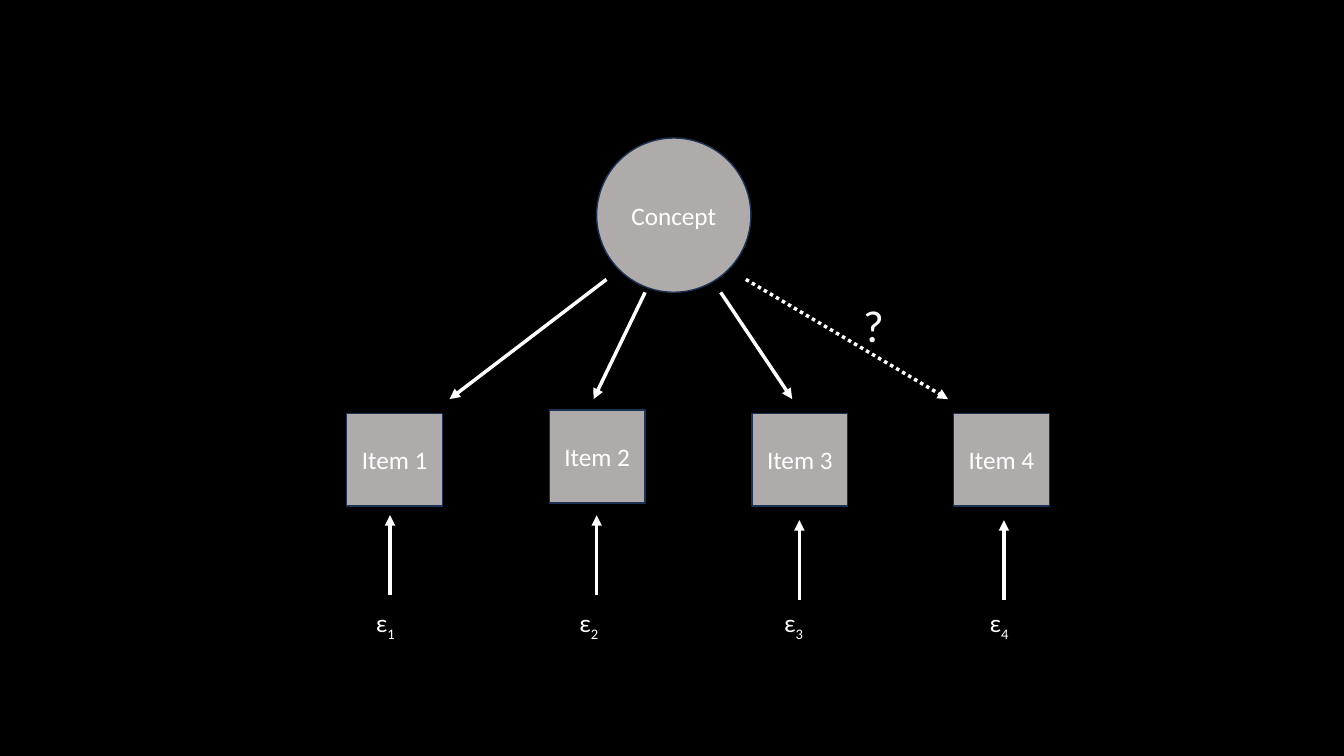
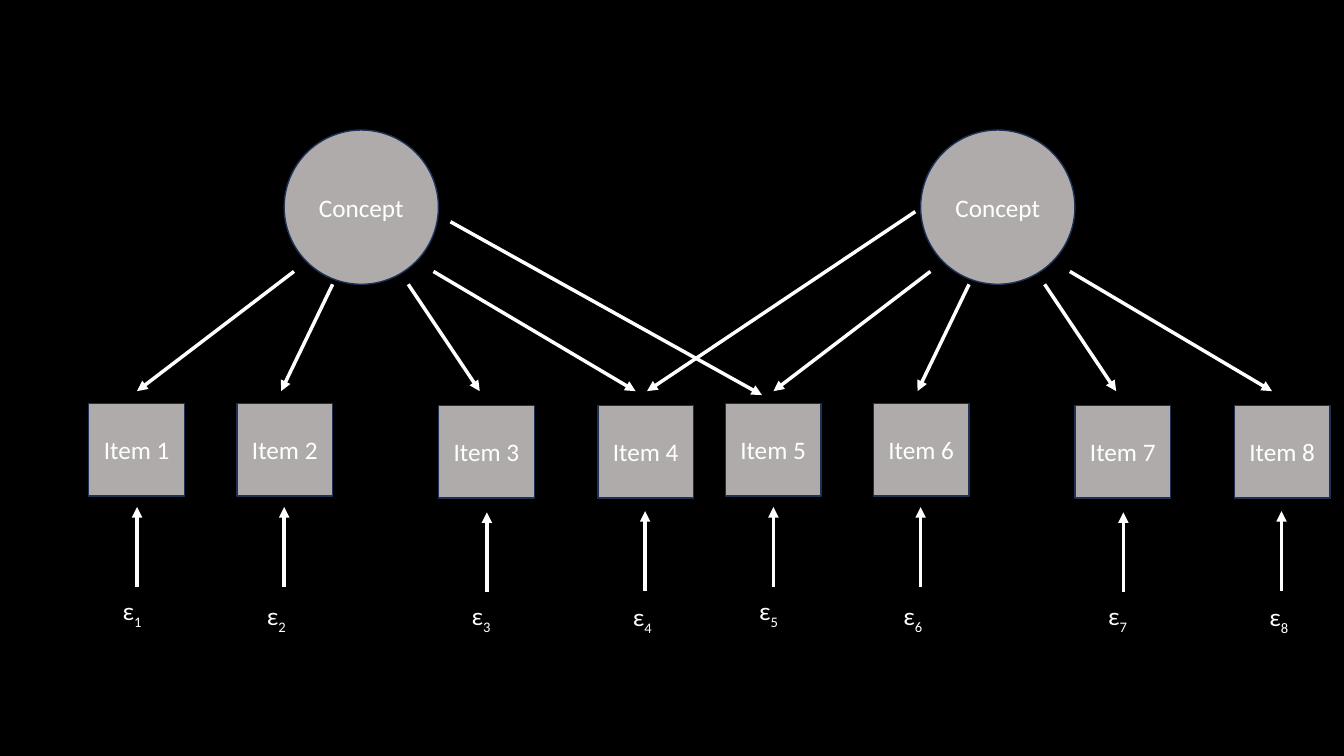
from lxml import etree
from pptx import Presentation
from pptx.dml.color import RGBColor
from pptx.enum.dml import MSO_LINE
from pptx.enum.shapes import MSO_CONNECTOR, MSO_SHAPE
from pptx.enum.text import MSO_ANCHOR, MSO_AUTO_SIZE, PP_ALIGN
from pptx.oxml.ns import qn
from pptx.util import Pt

STRAIGHT = MSO_CONNECTOR.STRAIGHT
ELLIPSE, RECTANGLE = MSO_SHAPE.OVAL, MSO_SHAPE.RECTANGLE
DOTTED = MSO_LINE.ROUND_DOT
LEFT, CENTER = PP_ALIGN.LEFT, PP_ALIGN.CENTER

COLORS = {"background": "000000", "node": "AFABAB", "outline": "1E3256", "ink": "FFFFFF"}
FONT = "Calibri"
TEXT_SIZE, QUESTION_SIZE = 18, 32

CONCEPT_SIZE = 110.2
ITEM_WIDTH, ITEM_HEIGHT = 68.4, 66.2
ERROR_ARROW_LENGTH = 56.8
ERROR_LABEL_SIZE = (35.3, 28.8)

# Loading arrows, start and end measured from the concept's top left corner
LOADINGS = [
    ((7, 101), (-105.1, 186.5)),
    ((34.6, 110.2), (-2.2, 186.5)),
    ((88.6, 110.2), (139.7, 186.5)),
    ((106.6, 101), (251, 186.5)),
]

# Per item: left, top, error arrow x and bottom, error label left and top
ONE_FACTOR = {
    "concepts": [(426.2, 98.6)],
    "items": [
        (247.7, 295.2, 278.6, 424.8, 261.4, 430.6),
        (392.4, 293, 426.2, 424.8, 406.8, 430.6),
        (537.1, 295.2, 571, 428.4, 553, 430.6),
        (681.1, 295.2, 717.1, 428.4, 699.8, 430.6),
    ],
    "dotted": {4},
    "cross_loadings": [],
    "question": ("?", 594, 208.8, 59.8, 46),
}
FACTOR_STEP = 454.6
FIRST_FACTOR_ITEMS = [
    (63.4, 288, 97.9, 419, 80.6, 421.9),
    (169.2, 288, 203, 419, 183.6, 425.5),
    (313.2, 289.6, 347.8, 422.8, 329.8, 425.5),
    (427, 289.6, 460.8, 421.9, 445, 426.2),
]
TWO_FACTORS = {
    "concepts": [(203, 92.9), (203 + FACTOR_STEP, 92.9)],
    "items": [
        (left + shift, top, arrow_x + shift, bottom, label_left + shift, label_top)
        for shift in (0, FACTOR_STEP)
        for left, top, arrow_x, bottom, label_left, label_top in FIRST_FACTOR_ITEMS
    ],
    "dotted": set(),
    "cross_loadings": [((321.8, 158.4), (544.3, 282.2)), ((653.8, 151.2), (462.2, 279.4))],
    "question": None,
}


def color(name):
    return RGBColor.from_string(COLORS[name])


def write(paragraph, text, size=TEXT_SIZE, align=CENTER):
    paragraph.alignment = align
    run = paragraph.add_run()
    run.text = text
    for attribute, value in {"size": Pt(size), "name": FONT}.items():
        setattr(run.font, attribute, value)
    run.font.color.rgb = color("ink")
    return run


def add_node(slide, kind, text, left, top, width, height):
    node = slide.shapes.add_shape(kind, Pt(left), Pt(top), Pt(width), Pt(height))
    node.shadow.inherit = False
    node.fill.solid()
    node.fill.fore_color.rgb = color("node")
    node.line.color.rgb = color("outline")
    node.line.width = Pt(1)
    node.text_frame.vertical_anchor = MSO_ANCHOR.MIDDLE
    write(node.text_frame.paragraphs[0], text)


def add_arrow(slide, start, end, dotted=False):
    arrow = slide.shapes.add_connector(STRAIGHT, *map(Pt, start + end))
    arrow.line.color.rgb = color("ink")
    arrow.line.width = Pt(2.5)
    if dotted:
        arrow.line.dash_style = DOTTED
    properties = arrow._element.spPr
    etree.SubElement(properties.find(qn("a:ln")), qn("a:tailEnd"), type="triangle")
    etree.SubElement(properties, qn("a:effectLst"))


def add_label(slide, left, top, width, height):
    """Add an empty text box and return its paragraph."""
    frame = slide.shapes.add_textbox(Pt(left), Pt(top), Pt(width), Pt(height)).text_frame
    frame.word_wrap = True
    frame.auto_size = MSO_AUTO_SIZE.SHAPE_TO_FIT_TEXT
    return frame.paragraphs[0]


def add_error(slide, number, x, bottom, label_left, label_top):
    add_arrow(slide, (x, bottom), (x, bottom - ERROR_ARROW_LENGTH))
    label = add_label(slide, label_left, label_top, *ERROR_LABEL_SIZE)
    write(label, "ε", align=LEFT)
    subscript = write(label, str(number), align=LEFT)
    subscript._r.get_or_add_rPr().set("baseline", "-25000")


def add_model(prs, model):
    slide = prs.slides.add_slide(prs.slide_layouts[6])
    for left, top in model["concepts"]:
        add_node(slide, ELLIPSE, "Concept", left, top, CONCEPT_SIZE, CONCEPT_SIZE)
        for number, ends in enumerate(LOADINGS, 1):
            start, end = [(left + dx, top + dy) for dx, dy in ends]
            add_arrow(slide, start, end, number in model["dotted"])
    for number, (left, top, *error) in enumerate(model["items"], 1):
        add_node(slide, RECTANGLE, f"Item {number}", left, top, ITEM_WIDTH, ITEM_HEIGHT)
        add_error(slide, number, *error)
    for start, end in model["cross_loadings"]:
        add_arrow(slide, start, end)
    if model["question"]:
        text, *box = model["question"]
        write(add_label(slide, *box), text, QUESTION_SIZE)


def main():
    prs = Presentation()
    prs.slide_width, prs.slide_height = Pt(960), Pt(540)
    backdrop = prs.slide_master.background.fill
    backdrop.solid()
    backdrop.fore_color.rgb = color("background")
    for model in (ONE_FACTOR, TWO_FACTORS):
        add_model(prs, model)
    prs.save("out.pptx")


if __name__ == "__main__":
    main()
